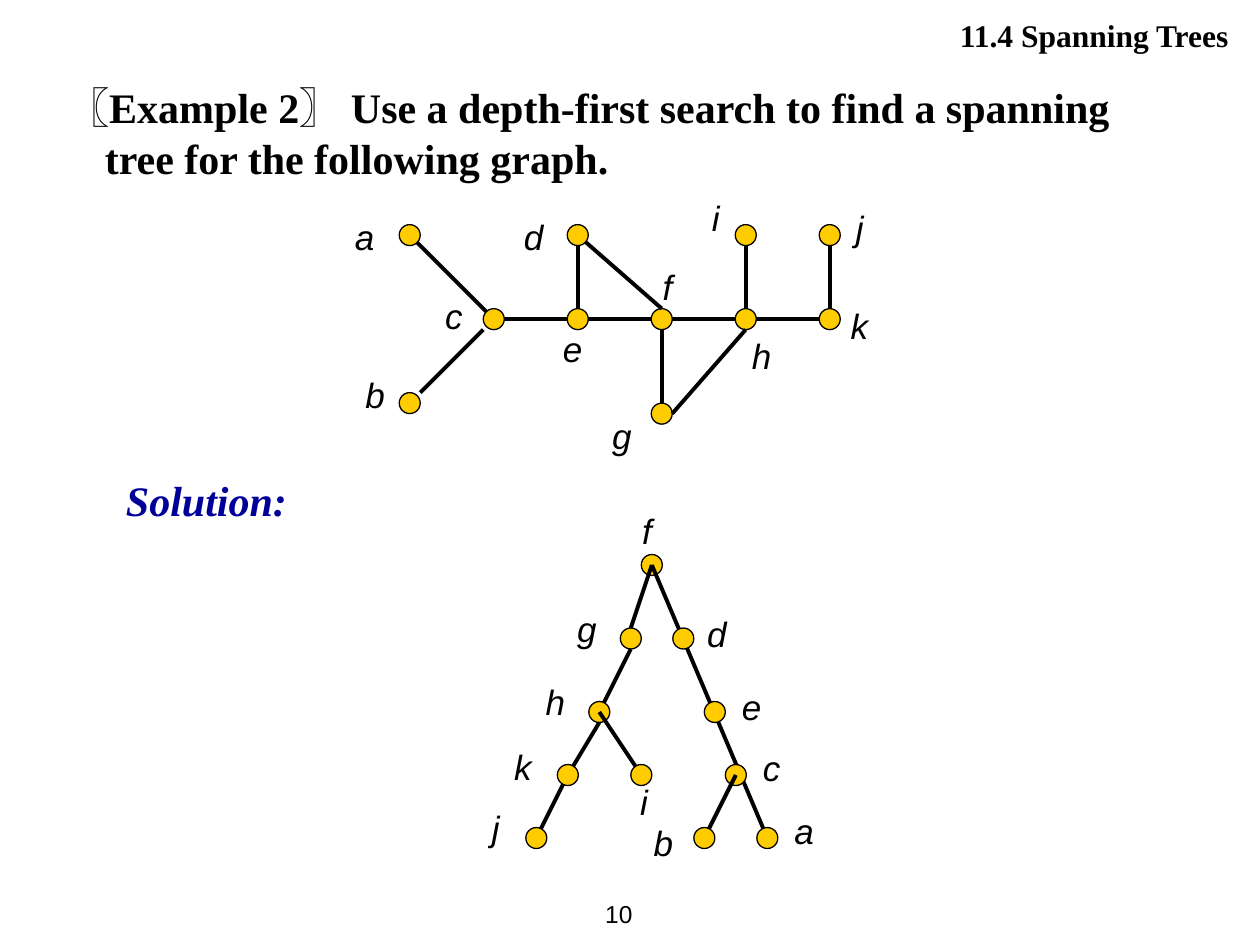
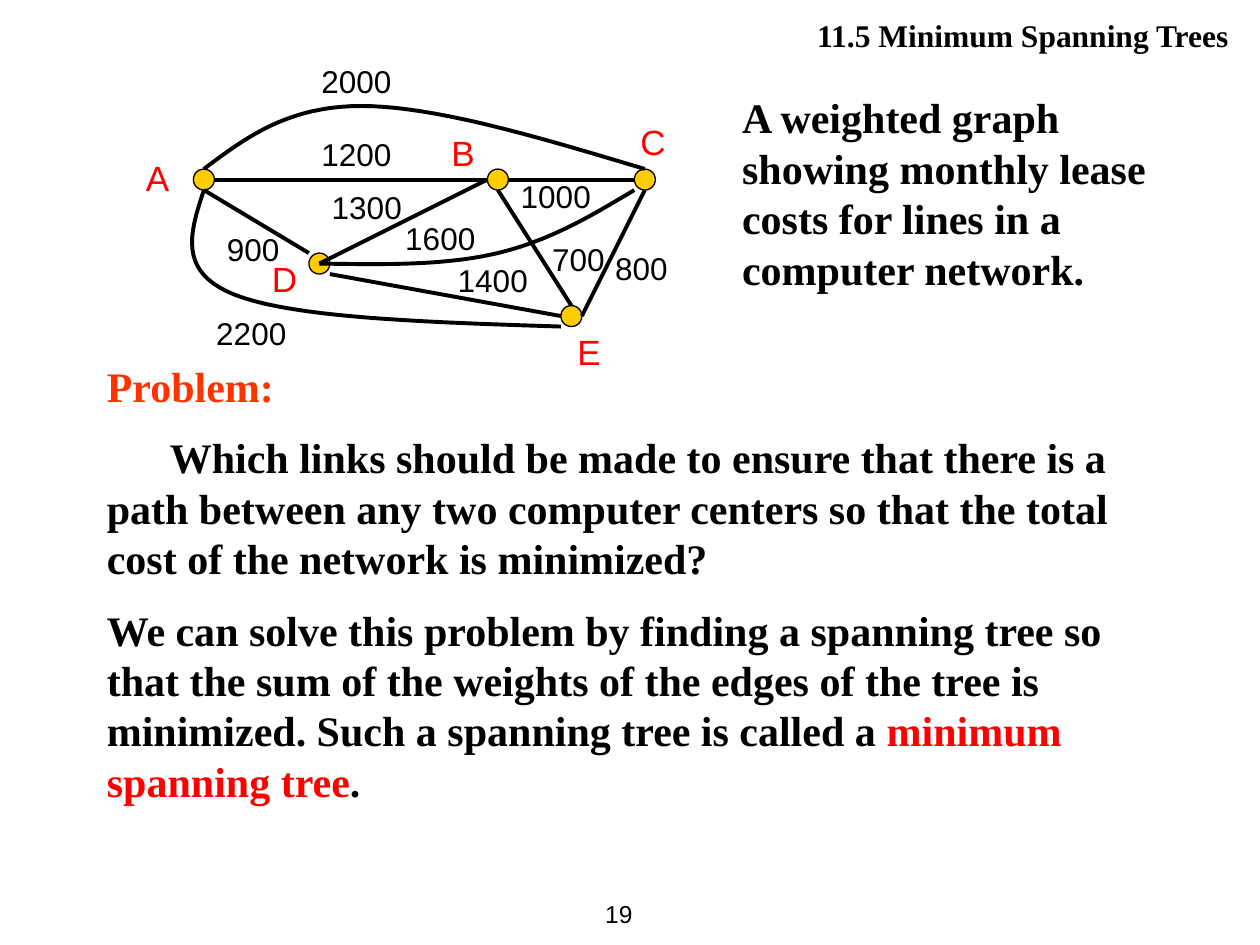
from dataclasses import dataclass

from lxml import etree
from pptx import Presentation
from pptx import util as u
from pptx.dml.color import RGBColor
from pptx.enum import shapes, text
from pptx.oxml.ns import qn


@dataclass(frozen=True)
class Theme:
    serif: str = "Times New Roman"
    sans: str = "Arial"
    ink: str = "000000"
    solution: str = "000099"
    problem: str = "FF3300"
    accent: str = "FF0000"
    node: str = "FFCC00"
    body: int = 24
    label: int = 20
    heading: int = 18
    page: int = 14
    edge: float = 2.25
    outline: float = 0.75
    leading: float = 1.2


THEME = Theme()
STEP = 2.54 / 12  # graph grid: one step is the radius of a node
COMPASS = {"n": (0, -1), "s": (0, 1), "w": (-1, 0), "e": (1, 0)}

# Nodes: x, y on the grid, then the offset of the label box from the centre.
SEARCH_NODES = {
    "a": (0, 0, -6.4, -2.5), "b": (0, 16, -5.4, -3.4),
    "c": (8, 8, -5.8, -2.9), "d": (16, 0, -6.3, -2.5),
    "e": (16, 8, -2.6, 0.2), "f": (24, 8, -1.1, -5.7),
    "g": (24, 17, -5.9, -0.5), "h": (32, 8, -0.6, 0.9),
    "i": (32, 0, -4.4, -4.3), "j": (40, 0, 1.3, -3.3),
    "k": (40, 8, 0.8, -2),
}
SEARCH_STEPS = ("k e f h b g i j a>c b.ne>c.sw c.e>e.w e.e>f.w f.e>h.w h.e>k.w "
                "i.s>h.n j.s>k.n f.s>g.n g.e>h.s d.s>e.n d>f.n a d c")

TREE_NODES = {
    "f": (0, 0, -2.1, -5.9), "g": (-2, 7, -6.3, -3.5),
    "h": (-5, 14, -6.3, -3.6), "k": (-8, 20, -6.3, -3.4),
    "j": (-11, 26, -5.4, -3.6), "i": (-1, 20, -1.3, -0.1),
    "d": (3, 7, 1.1, -3.1), "e": (6, 14, 1.4, -3.1),
    "c": (8, 20, 1.4, -3.3), "a": (11, 26, 1.4, -3.3),
    "b": (5, 26, -6, -2.2),
}
TREE_STEPS = "f g f>g.n g.s>h h.s>k k>j k h j h>i i f>a d e c a c>b b"

LEASE_NODES = {
    "A": (0, 0, -6.7, -2.8), "B": (28, 0, -5.6, -5.2),
    "C": (42, 0, -1.6, -6.2), "D": (11, 8, -5.7, -1.2),
    "E": (35, 13, -0.6, 0.8),
}
LEASE_STEPS = ("A B C E D A.e>B.w B.e>C.w A.s>D.nw D.se>E.w E.e>C.s "
               "B.s>E.n D>B.w")
LEASE_CURVES = [
    [(0, -1), (4, -4), (8, -7), (15, -7), (22, -7), (32, -4), (42, -1)],
    [(0, 1), (-1.3, 5), (-2.6, 8.8), (3, 11), (8.7, 13.2), (21.4, 13.6), (34, 14)],
    [(11, 8), (17, 8.1), (23, 8.2), (28, 7), (33, 5.8), (37, 3.4), (41, 1)],
]
LEASE_COSTS = {
    "2000": (10, -11.8), "1200": (10, -4.8), "1000": (29, -0.8),
    "900": (1, 4.2), "1300": (11, 0.2), "1600": (18, 3.2),
    "1400": (23, 7.2), "700": (32, 5.2), "800": (38, 6), "2200": (0, 12.2),
}


def rgb(value):
    return RGBColor.from_string(value)


def add_run(paragraph, words, size, color=THEME.ink, face=THEME.serif,
            bold=False, italic=False):
    run = paragraph.add_run()
    run.text = words
    font = run.font
    font.name, font.size = face, u.Pt(size)
    font.bold, font.italic = bold, italic
    font.color.rgb = rgb(color)
    paragraph.line_spacing = u.Pt(size * THEME.leading)


def indent(paragraph, left, first):
    """Set the margin and first-line indent in cm, without a bullet."""
    properties = paragraph._p.get_or_add_pPr()
    properties.set("marL", str(u.Cm(left)))
    properties.set("indent", str(u.Cm(first)))
    etree.SubElement(properties, qn("a:buNone"))


def add_text_frame(slide_shapes, left, top, width, height):
    box = slide_shapes.add_textbox(u.Cm(left), u.Cm(top), u.Cm(width), u.Cm(height))
    box.text_frame.word_wrap = True
    return box.text_frame


def place(placeholder, left, top, width, height):
    placeholder.left, placeholder.top = u.Cm(left), u.Cm(top)
    placeholder.width, placeholder.height = u.Cm(width), u.Cm(height)
    frame = placeholder.text_frame
    frame.auto_size = text.MSO_AUTO_SIZE.NONE
    frame.vertical_anchor = text.MSO_ANCHOR.TOP
    return frame


def add_slide(deck, heading, page):
    slide = deck.slides.add_slide(deck.slide_layouts[1])
    title = place(slide.shapes.title, 10.1, 0.2, 14.92, 1.02).paragraphs[0]
    title.alignment = text.PP_ALIGN.RIGHT
    add_run(title, heading, THEME.heading, bold=True)

    number = add_text_frame(slide.shapes, 11.3, 17.78, 1.7, 1.27)
    number.vertical_anchor = text.MSO_ANCHOR.MIDDLE
    number.paragraphs[0].alignment = text.PP_ALIGN.RIGHT
    add_run(number.paragraphs[0], page, THEME.page, face=THEME.sans)
    return slide


class Graph:
    """A group of nodes and edges on a grid whose origin is given in cm."""

    def __init__(self, slide, left, top, nodes):
        self.shapes = slide.shapes.add_group_shape().shapes
        self.left, self.top, self.nodes = left, top, nodes

    def at(self, x, y):
        return u.Cm(self.left + x * STEP), u.Cm(self.top + y * STEP)

    def anchor(self, end):
        """Point for 'a' (its centre) or 'a.ne' (its north-east corner)."""
        name, _, sides = end.partition(".")
        x, y = self.nodes[name][:2]
        return self.at(x + sum(COMPASS[side][0] for side in sides),
                       y + sum(COMPASS[side][1] for side in sides))

    def add_node(self, name):
        x, y = self.nodes[name][:2]
        size = u.Cm(2 * STEP)
        node = self.shapes.add_shape(shapes.MSO_SHAPE.OVAL,
                                     *self.at(x - 1, y - 1), size, size)
        node.shadow.inherit = False
        node.fill.solid()
        node.fill.fore_color.rgb = rgb(THEME.node)
        node.line.color.rgb = rgb(THEME.ink)
        node.line.width = u.Pt(THEME.outline)

    def add_edge(self, start, end):
        edge = self.shapes.add_connector(shapes.MSO_CONNECTOR.STRAIGHT,
                                         *self.anchor(start), *self.anchor(end))
        edge.line.color.rgb = rgb(THEME.ink)
        edge.line.width = u.Pt(THEME.edge)
        etree.SubElement(edge._element.spPr, qn("a:effectLst"))

    def add_curve(self, controls, pieces=20):
        """Draw joined cubic Bezier arcs as a fine open outline."""
        points = []
        for first in range(0, len(controls) - 1, 3):
            arc = controls[first:first + 4]
            for piece in range(pieces + 1):
                t = piece / pieces
                weights = ((1 - t) ** 3, 3 * t * (1 - t) ** 2,
                           3 * t ** 2 * (1 - t), t ** 3)
                points.append(self.at(*(sum(w * p[axis] for w, p in zip(weights, arc))
                                        for axis in (0, 1))))
        builder = self.shapes.build_freeform(*points[0])
        builder.add_line_segments(points[1:], close=False)
        curve = builder.convert_to_shape()
        curve.shadow.inherit = False
        curve.fill.background()
        curve.line.color.rgb = rgb(THEME.ink)
        curve.line.width = u.Pt(THEME.edge)

    def draw(self, steps):
        """Draw nodes ('a') and edges ('a>b') in stacking order."""
        for step in steps.split():
            start, _, end = step.partition(">")
            if end:
                self.add_edge(start, end)
            else:
                self.add_node(start)

    def add_label(self, words, x, y, width, size, **style):
        frame = add_text_frame(self.shapes, self.left + x * STEP,
                               self.top + y * STEP, width, 1.08)
        add_run(frame.paragraphs[0], words, size, face=THEME.sans, **style)

    def label_nodes(self, **style):
        for name, (x, y, dx, dy) in self.nodes.items():
            self.add_label(name, x + dx, y + dy, 1.15, THEME.label, **style)


def build_search_slide(deck):
    slide = add_slide(deck, "11.4 Spanning Trees", "10")
    example = place(slide.placeholders[1], 0.89, 1.52, 23.24, 2.3).paragraphs[0]
    example.space_before = u.Pt(0)
    indent(example, 0.97, -0.76)
    add_run(example, "〖Example 2〗 Use a depth-first search to find a spanning "
            "tree for the following graph.", THEME.body, bold=True)

    solution = add_text_frame(slide.shapes, 2.29, 9.45, 21.6, 1.27).paragraphs[0]
    add_run(solution, "Solution:", THEME.body, THEME.solution, bold=True, italic=True)

    for left, top, nodes, steps in ((13.14, 11.39, TREE_NODES, TREE_STEPS),
                                    (8.26, 4.74, SEARCH_NODES, SEARCH_STEPS)):
        graph = Graph(slide, left, top, nodes)
        graph.draw(steps)
        graph.label_nodes(italic=True)


def build_lease_slide(deck):
    slide = add_slide(deck, "11.5 Minimum Spanning Trees", "19")
    caption = add_text_frame(slide.shapes, 14.71, 1.73, 8.69, 4.32).paragraphs[0]
    add_run(caption, "A weighted graph showing monthly lease costs for lines in a "
            "computer network.", THEME.body, bold=True)

    paragraphs = [
        (0, [("Problem:", THEME.problem)]),
        (1.27, [("Which links should be made to ensure that there is a path between "
                 "any two computer centers so that the total cost of the network is "
                 "minimized?", THEME.ink)]),
        (0, [("We can solve this problem by finding a spanning tree so that the sum "
              "of the weights of the edges of the tree is minimized. Such a spanning "
              "tree is called a ", THEME.ink),
             ("minimum spanning tree", THEME.accent), (".", THEME.ink)]),
    ]
    body = place(slide.placeholders[1], 1.9, 7.14, 22, 9.5)
    for index, (first, runs) in enumerate(paragraphs):
        paragraph = body.add_paragraph() if index else body.paragraphs[0]
        paragraph.space_before = u.Pt(THEME.body / 2 if index else 0)
        indent(paragraph, 0, first)
        for words, color in runs:
            add_run(paragraph, words, THEME.body, color, bold=True)

    network = Graph(slide, 4.11, 3.62, LEASE_NODES)
    network.draw(LEASE_STEPS)
    for controls in LEASE_CURVES:
        network.add_curve(controls)
    for cost, (x, y) in LEASE_COSTS.items():
        network.add_label(cost, x, y, 2.12, THEME.heading)
    network.label_nodes(color=THEME.accent)


def main():
    deck = Presentation()
    deck.slide_width, deck.slide_height = u.Cm(25.4), u.Cm(19.05)
    build_search_slide(deck)
    build_lease_slide(deck)
    deck.save("out.pptx")


if __name__ == "__main__":
    main()
